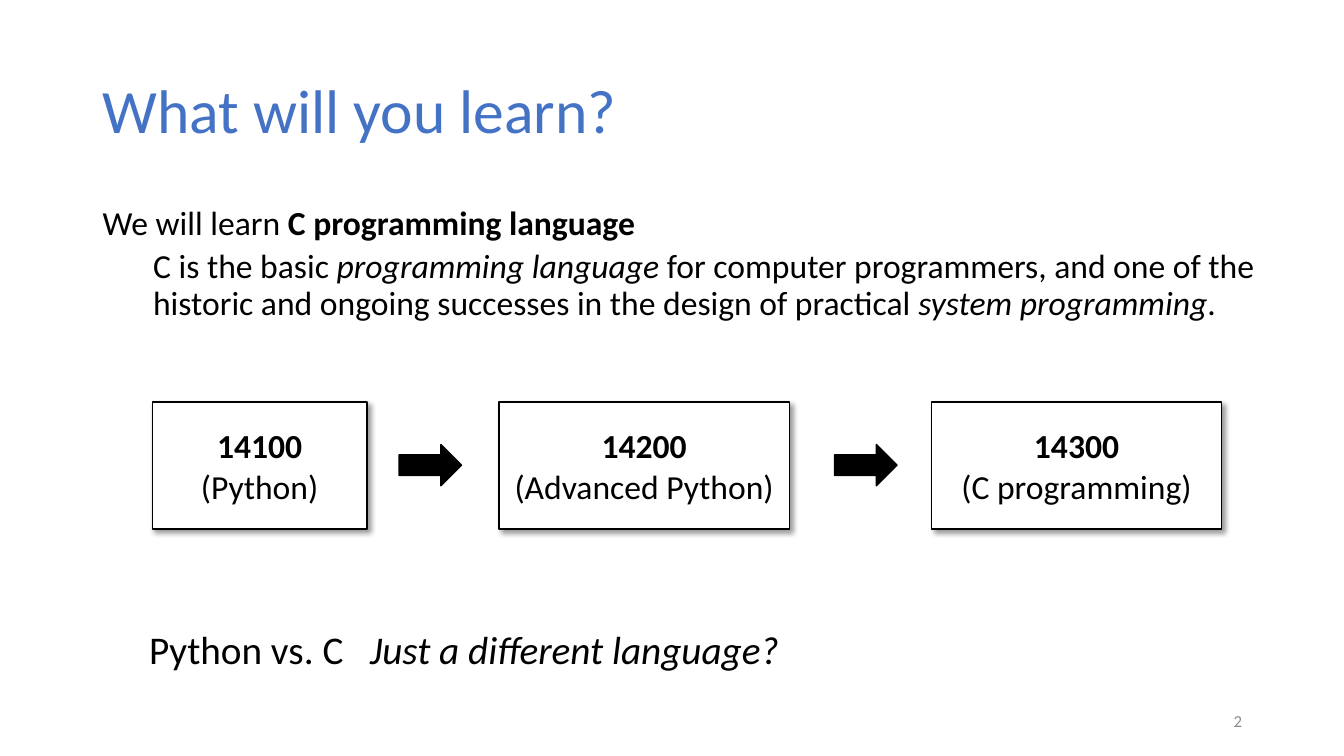
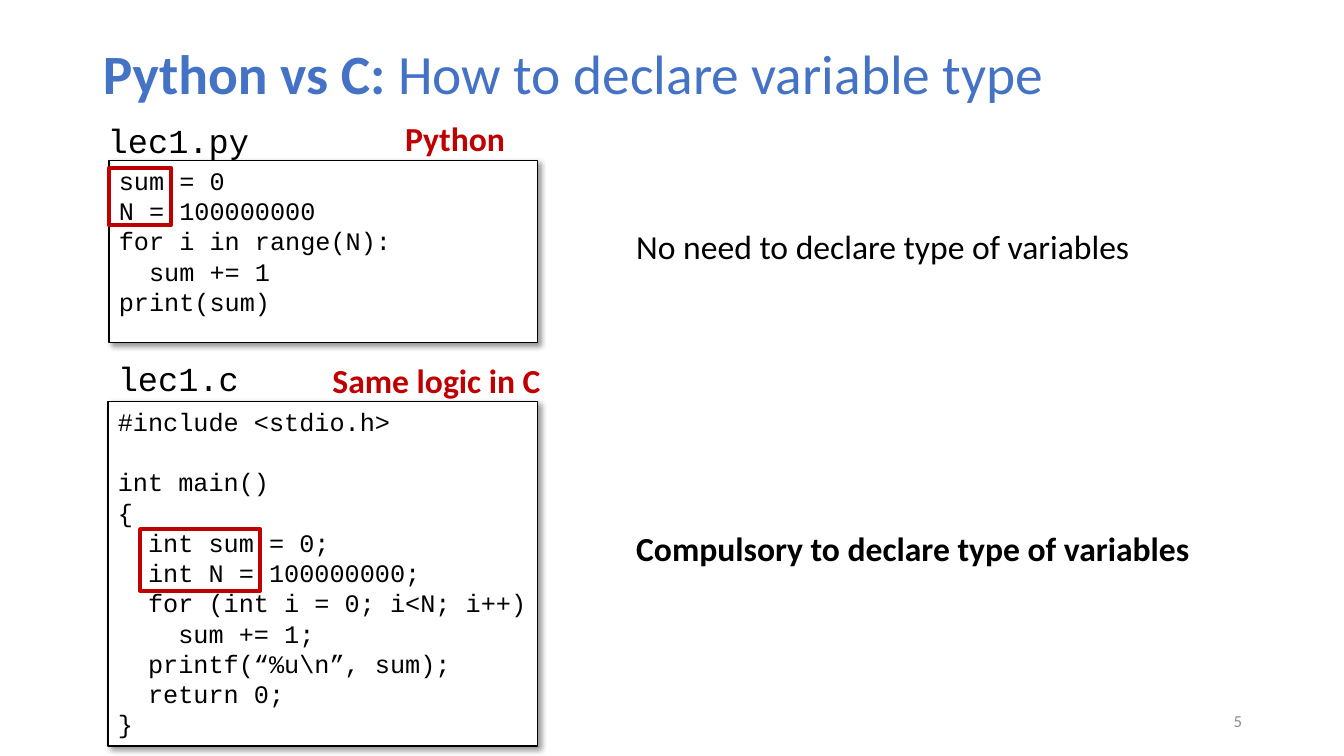
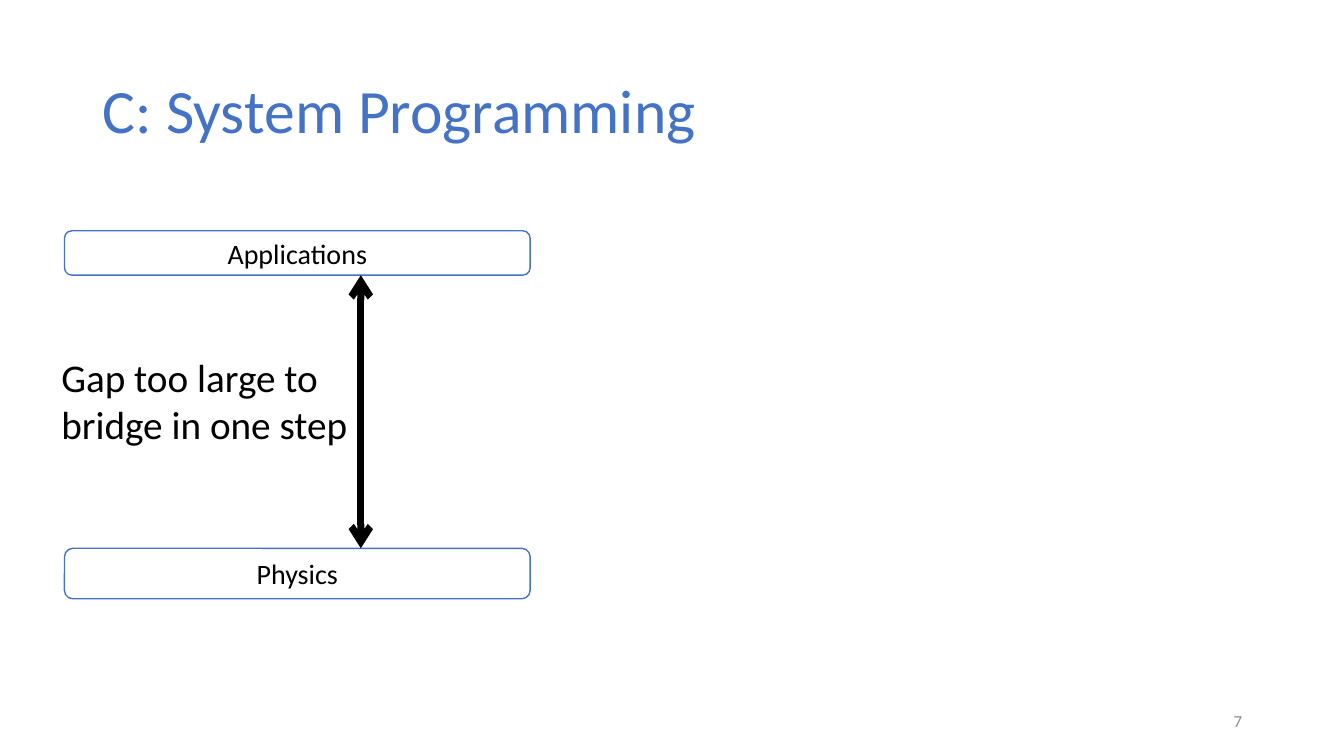
from lxml import etree
from pptx import Presentation
from pptx import util as u
from pptx.dml.color import RGBColor
from pptx.enum import shapes, text
from pptx.oxml import ns

BLUE = RGBColor(0x44, 0x72, 0xC4)
RED = RGBColor(0xC0, 0x00, 0x00)
BLACK = RGBColor(0x00, 0x00, 0x00)
WHITE = RGBColor(0xFF, 0xFF, 0xFF)
GRAY = RGBColor(0x8C, 0x8C, 0x8C)

WIDTH, HEIGHT = u.Inches(13.33), u.Inches(7.5)
COLUMN, ROW = WIDTH / 100, HEIGHT / 100
TITLE_ONLY = 5
SHAPE = shapes.MSO_SHAPE
MIDDLE = text.MSO_ANCHOR.MIDDLE
TOP = text.MSO_ANCHOR.TOP
LEFT, CENTER, RIGHT = text.PP_ALIGN.LEFT, text.PP_ALIGN.CENTER, text.PP_ALIGN.RIGHT

BOLD = {"bold": True}
ITALIC = {"italic": True}
BODY = {"name": "Calibri", "size": u.Pt(24)}
LARGE = {"name": "Calibri", "size": u.Pt(28)}
LAYER = {"name": "Calibri", "size": u.Pt(20)}
FOOTER = {"name": "Calibri", "size": u.Pt(12)}
FILE_NAME = {"name": "Courier New", "size": u.Pt(24)}
CODE = {"name": "Courier New", "size": u.Pt(18)}

PYTHON_CODE = """sum = 0
N = 100000000
for i in range(N):
  sum += 1
print(sum)"""

C_CODE = """#include <stdio.h>

int main()
{
  int sum = 0;
  int N = 100000000;
  for (int i = 0; i<N; i++)
    sum += 1;
  printf(“%u\\n”, sum);
  return 0;
}"""


def apply(target, formats):
    for name, value in formats.items():
        setattr(target, name, value)


def area(left, top, width, height):
    return [round(share * unit) for share, unit in
            zip((left, top, width, height), (COLUMN, ROW, COLUMN, ROW))]


def write(frame, paragraphs, font, color=BLACK, align=LEFT, spacing=None):
    for index, runs in enumerate(paragraphs):
        paragraph = frame.paragraphs[0] if index == 0 else frame.add_paragraph()
        apply(paragraph, {"alignment": align, "line_spacing": spacing})
        for words, emphasis in runs:
            run = paragraph.add_run()
            run.text = words
            apply(run.font, {**font, **emphasis})
            run.font.color.rgb = color
        if not runs:
            apply(paragraph.font, font)


def plain(words):
    return [[(line, {})] if line else [] for line in words.split("\n")]


def add_text(slide, place, paragraphs, font, wrap=False, anchor=TOP, **style):
    frame = slide.shapes.add_textbox(*area(*place)).text_frame
    fit = text.MSO_AUTO_SIZE.NONE if wrap else text.MSO_AUTO_SIZE.SHAPE_TO_FIT_TEXT
    apply(frame, {"word_wrap": wrap, "auto_size": fit, "vertical_anchor": anchor})
    write(frame, paragraphs, font, **style)
    return frame


def add_shadow(shape):
    effects = shape._element.spPr.find(ns.qn("a:effectLst"))
    outer = etree.SubElement(effects, ns.qn("a:outerShdw"), blurRad=str(u.Pt(4)),
                             dist=str(u.Pt(3)), dir="2700000", algn="tl", rotWithShape="0")
    tint = etree.SubElement(outer, ns.qn("a:srgbClr"), val=str(BLACK))
    etree.SubElement(tint, ns.qn("a:alpha"), val="40000")


def add_box(slide, kind, place, fill=WHITE, line=BLACK, weight=1, shadow=False):
    box = slide.shapes.add_shape(kind, *area(*place))
    box.shadow.inherit = False
    if fill is None:
        box.fill.background()
    else:
        box.fill.solid()
        box.fill.fore_color.rgb = fill
    box.line.color.rgb = line
    box.line.width = u.Pt(weight)
    if shadow:
        add_shadow(box)
    return box


def fill_box(box, paragraphs, font, anchor=MIDDLE, align=CENTER, wrap=True):
    apply(box.text_frame, {"word_wrap": wrap, "vertical_anchor": anchor})
    write(box.text_frame, paragraphs, font, align=align)


def add_double_arrow(slide, x, top, bottom):
    start_x, start_y, end_x, end_y = area(x, top, x, bottom)
    arrow = slide.shapes.add_connector(
        shapes.MSO_CONNECTOR.STRAIGHT, start_x, start_y, end_x, end_y)
    arrow.line.color.rgb = BLACK
    arrow.line.width = u.Pt(5)
    for end in ("a:headEnd", "a:tailEnd"):
        etree.SubElement(arrow.line._get_or_add_ln(), ns.qn(end), type="arrow")
    etree.SubElement(arrow._element.spPr, ns.qn("a:effectLst"))


def add_slide(deck, heading, number, size=44, height=19.33):
    slide = deck.slides.add_slide(deck.slide_layouts[TITLE_ONLY])
    title = slide.shapes.title
    apply(title, dict(zip(("left", "top", "width", "height"),
                          area(6.9, 5.33, 86.25, height))))
    apply(title.text_frame, {"word_wrap": True, "vertical_anchor": MIDDLE,
                             "auto_size": text.MSO_AUTO_SIZE.NONE})
    write(title.text_frame, [heading], {"name": "Calibri", "size": u.Pt(size)},
          color=BLUE, spacing=0.9)
    add_text(slide, (70.67, 92.67, 22.5, 5.33), plain(str(number)), FOOTER,
             wrap=True, anchor=MIDDLE, color=GRAY, align=RIGHT)
    return slide


def learning_slide(deck):
    slide = add_slide(deck, [("What will you learn?", {})], 2)
    intro = add_text(slide, (6.9, 26.67, 90.15, 20.27), [
        [("We will learn ", {}), ("C programming language", BOLD)],
        [("C is the basic ", {}), ("programming language ", ITALIC),
         ("for computer programmers, and one of the historic and ongoing successes "
          "in the design of practical ", {}),
         ("system programming", ITALIC), (".", {})],
    ], BODY, wrap=True, spacing=0.9)
    detail = intro.paragraphs[1]
    detail.space_before = u.Pt(5)
    detail._p.get_or_add_pPr().set("marL", str(u.Inches(0.5)))

    courses = [("14100", "(Python)", 11.33, 15.98),
               ("14200", "(Advanced Python)", 37.13, 21.6),
               ("14300", "(C programming)", 69.3, 21.6)]
    for code, topic, left, width in courses:
        course = add_box(slide, SHAPE.RECTANGLE, (left, 53.2, width, 16.8), shadow=True)
        fill_box(course, [[(code, BOLD)], [(topic, {})]], BODY)
    for left in (29.7, 62.1):
        add_box(slide, SHAPE.RIGHT_ARROW, (left, 58.8, 4.65, 5.47), fill=BLACK)

    question = add_text(slide, (10.35, 82, 49.45, 7.6), [
        [("Python vs. C\t", {}), ("Just a different language?", ITALIC)]], LARGE)
    stops = etree.SubElement(question.paragraphs[0]._p.get_or_add_pPr(), ns.qn("a:tabLst"))
    etree.SubElement(stops, ns.qn("a:tab"), pos=str(u.Inches(2.19)), algn="l")


def declaration_slide(deck):
    slide = add_slide(deck, [("Python vs C:", BOLD), (" How to declare variable type", {})],
                      5, size=39.6, height=9.6)
    listings = [
        (PYTHON_CODE, (8.1, 21.2, 31.9, 24.13), (8.1, 22.27, 4.65, 7.47),
         "lec1.py", (7.28, 15.2, 12.08, 6.67), "Python", (29.4, 14.93, 9, 6.67),
         "No need to declare type of variables", (46.6, 29.2, 38.55, 6.67), {}),
        (C_CODE, (8.03, 53.07, 31.95, 45.6), (10.43, 70, 8.93, 8.13),
         "lec1.c", (8.03, 46.67, 10.58, 6.67), "Same logic in C", (24, 46.93, 17.1, 6.67),
         "Compulsory to declare type of variables", (46.6, 69.2, 43.05, 6.67), BOLD),
    ]
    for (code, code_place, declared_place, file_name, file_place,
         language, language_place, remark, remark_place, emphasis) in listings:
        listing = add_box(slide, SHAPE.RECTANGLE, code_place, shadow=True)
        fill_box(listing, plain(code), CODE, anchor=TOP, align=LEFT)
        add_text(slide, file_place, plain(file_name), FILE_NAME)
        add_box(slide, SHAPE.RECTANGLE, declared_place, fill=None, line=RED, weight=3)
        add_text(slide, remark_place, [[(remark, emphasis)]], BODY)
        add_text(slide, language_place, [[(language, BOLD)]], BODY, color=RED)


def system_slide(deck):
    slide = add_slide(deck, [("C: System Programming", {})], 7)
    for name, top, height in (("Physics", 72.53, 6.67), ("Applications", 30.53, 5.87)):
        layer = add_box(slide, SHAPE.ROUNDED_RECTANGLE, (4.8, top, 34.65, height), line=BLUE)
        fill_box(layer, plain(name), LAYER, wrap=False)
    add_double_arrow(slide, 26.85, 36.4, 72.53)
    add_text(slide, (3.83, 46.13, 23.03, 13.87),
             plain("Gap too large to\nbridge in one step"), LARGE)


def main():
    deck = Presentation()
    apply(deck, {"slide_width": WIDTH, "slide_height": HEIGHT})
    for build in (learning_slide, declaration_slide, system_slide):
        build(deck)
    deck.save("out.pptx")


if __name__ == "__main__":
    main()
